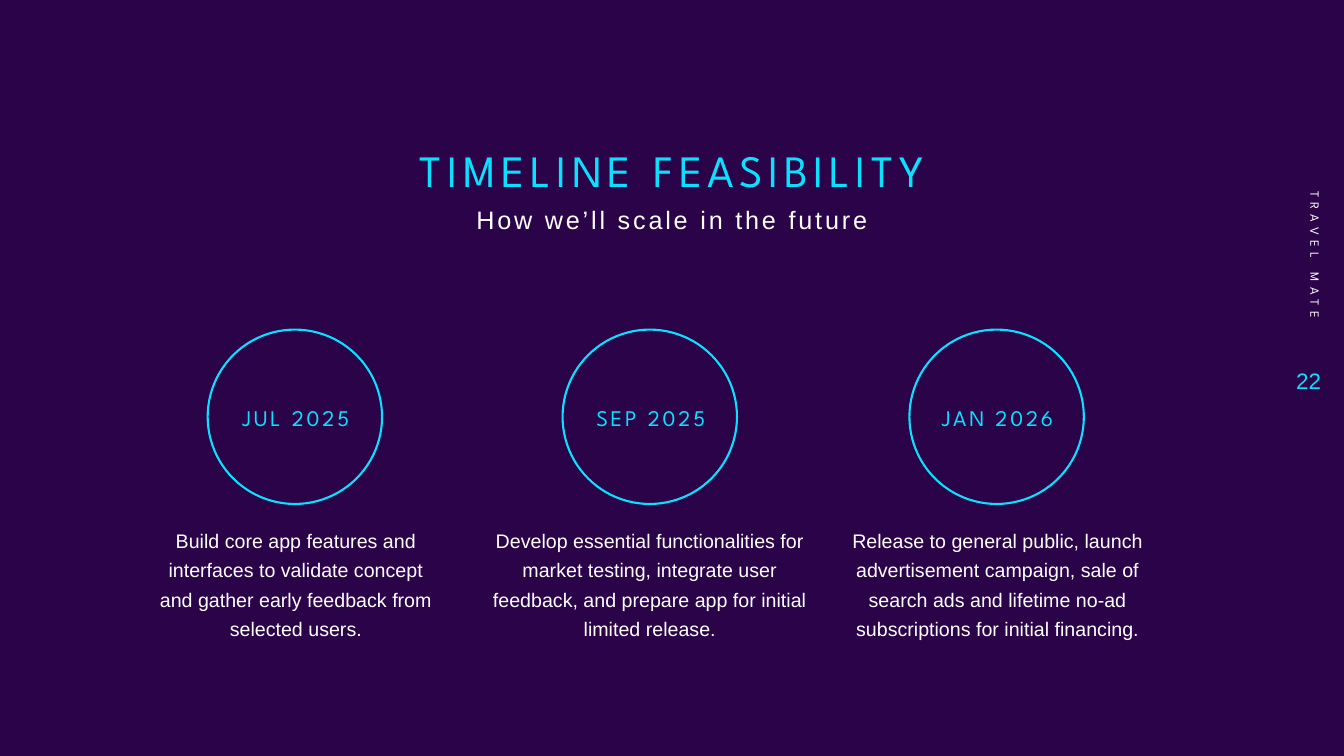
from pptx import Presentation
from pptx.dml.color import RGBColor
from pptx.enum.shapes import MSO_SHAPE as Shape
from pptx.enum.text import MSO_ANCHOR as Anchor, MSO_AUTO_SIZE as AutoSize, PP_ALIGN as Align
from pptx.util import Inches, Pt

PURPLE, CYAN, WHITE = "2B0348", "0BE1FF", "FFFFFF"
HEADING, BODY = "League Spartan", "Arial"
CIRCLE_TOP, CIRCLE_SIZE = 3.27, 1.73

# Circle left, date, description left and width, description
MILESTONES = [
    (2.06, "JUL 2025", 1.45, 2.97,
     "Build core app features and interfaces to validate concept "
     "and gather early feedback from selected users."),
    (5.58, "SEP 2025", 4.78, 3.33,
     "Develop essential functionalities for market testing, integrate user "
     "feedback, and prepare app for initial limited release."),
    (9.02, "JAN 2026", 8.23, 3.33,
     "Release to general public, launch advertisement campaign, sale of "
     "search ads and lifetime no-ad subscriptions for initial financing."),
]


def color(value):
    return RGBColor.from_string(value)


def place(box, left, top, width, height):
    box.left, box.top = Inches(left), Inches(top)
    box.width, box.height = Inches(width), Inches(height)


def write(box, text, size, font, fill, anchor=Anchor.TOP, align=Align.CENTER,
          tracking=0, line_spacing=1.0):
    frame = box.text_frame
    frame.word_wrap = True
    frame.auto_size = AutoSize.NONE
    frame.vertical_anchor = anchor
    para = frame.paragraphs[0]
    para.alignment = align
    para.line_spacing = line_spacing
    para.space_before = Pt(0)
    span = para.add_run()
    span.text = text
    para.font.size, para.font.name = Pt(size), font
    para.font.color.rgb = color(fill)
    if tracking:  # letter spacing in hundredths of a point
        span._r.get_or_add_rPr().set("spc", str(tracking * 100))


def add_text(page, area, text, size, font, fill, **style):
    box = page.shapes.add_textbox(*map(Inches, area))
    write(box, text, size, font, fill, **style)
    return box


def add_circle(page, left):
    circle = page.shapes.add_shape(Shape.OVAL, Inches(left), Inches(CIRCLE_TOP),
                                   Inches(CIRCLE_SIZE), Inches(CIRCLE_SIZE))
    circle.shadow.inherit = False
    circle.fill.background()
    circle.line.color.rgb = color(CYAN)
    circle.line.width = Pt(1.5)


def add_milestone(page, left, date, text_left, text_width, text):
    add_circle(page, left)
    add_text(page, (left - 0.06, 3.57, 1.87, 1.15), date, 16, HEADING, CYAN,
             anchor=Anchor.MIDDLE, tracking=2)
    add_text(page, (text_left, 5.14, text_width, 1.26), text, 14, BODY, WHITE,
             line_spacing=1.25)


def main():
    deck = Presentation()
    deck.slide_width, deck.slide_height = Inches(13.33), Inches(7.5)
    page = deck.slides.add_slide(deck.slide_layouts[5])
    page.background.fill.solid()
    page.background.fill.fore_color.rgb = color(PURPLE)

    # Title and subtitle
    title = page.shapes.title
    place(title, 3.6, 1.27, 6.14, 0.74)
    write(title, "TIMELINE FEASIBILITY", 32, HEADING, CYAN,
          anchor=Anchor.BOTTOM, tracking=4, line_spacing=0.9)
    add_text(page, (3.85, 2.01, 5.63, 0.79), "How we’ll scale in the future",
             18, BODY, WHITE, tracking=2, line_spacing=0.9)

    # Timeline
    for milestone in MILESTONES:
        add_milestone(page, *milestone)

    # Side label and page number
    label = add_text(page, (11.53, 1.54, 3.03, 0.4), "TRAVEL MATE", 9, HEADING, WHITE,
                     anchor=Anchor.MIDDLE, align=Align.RIGHT, tracking=4)
    label.rotation = 90
    add_text(page, (12.6, 3.46, 0.6, 0.63), "22", 16, BODY, CYAN,
             anchor=Anchor.MIDDLE, align=Align.RIGHT)

    deck.save("out.pptx")


if __name__ == "__main__":
    main()
